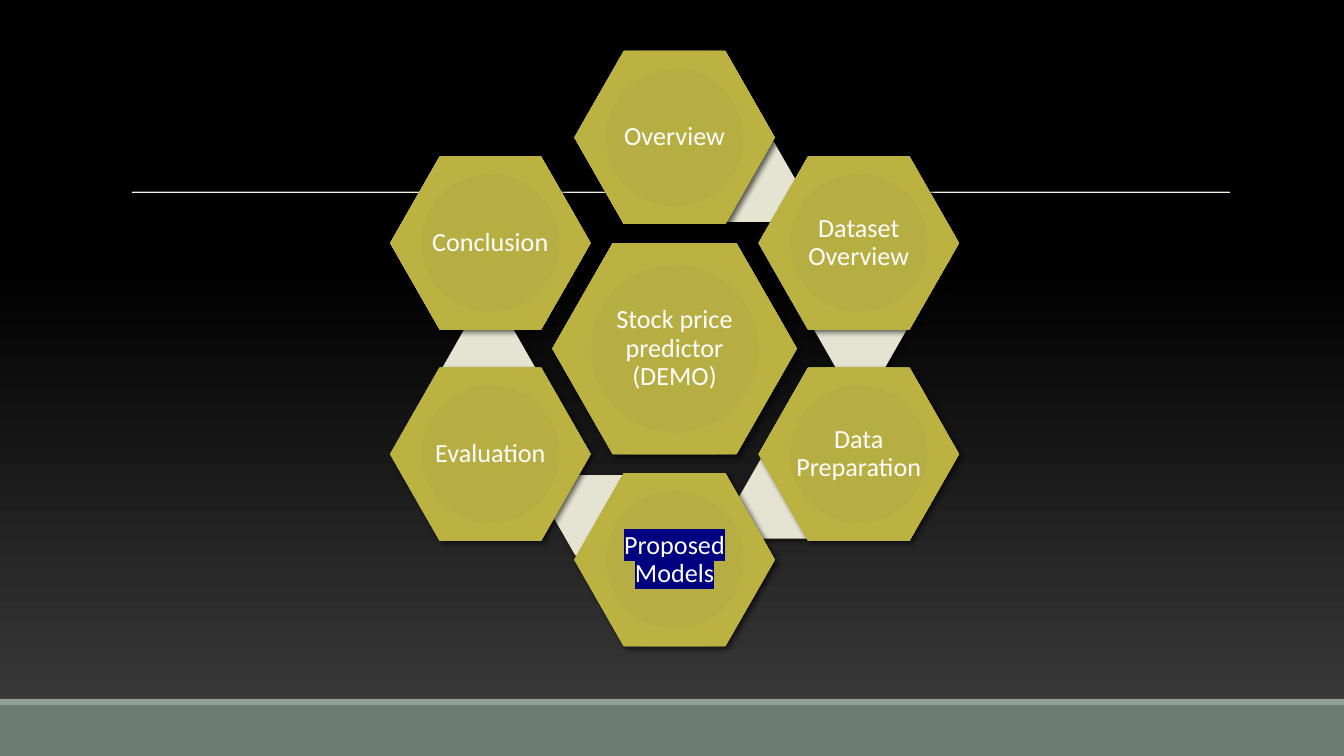
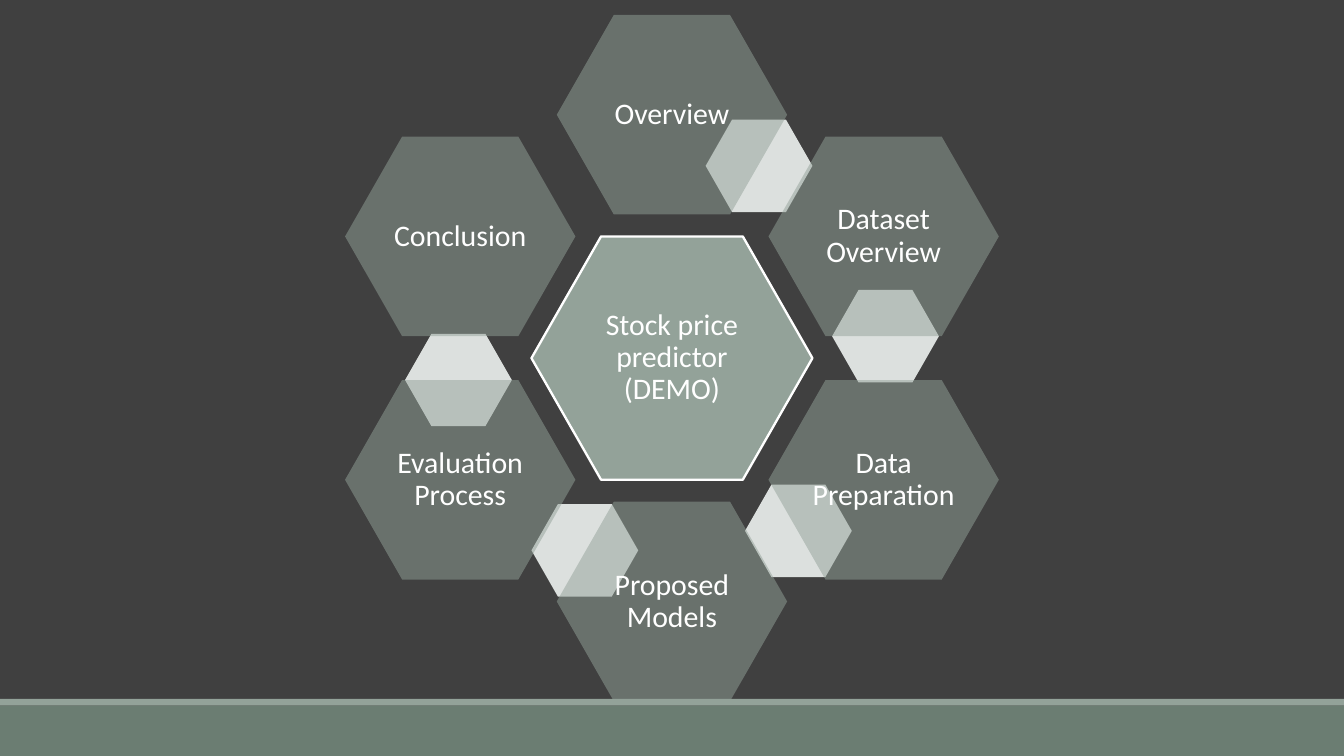
import math
from dataclasses import dataclass

from lxml import etree
from pptx import Presentation
from pptx import util as u
from pptx.dml.color import RGBColor
from pptx.enum import shapes, text
from pptx.oxml import ns

# Content: each ring starts at the top and runs clockwise
SLIDES = [
    {
        "style": "olive",
        "hub": "Stock price predictor (DEMO)",
        "steps": ["Overview", "Dataset Overview", "Data Preparation",
                  "Proposed Models", "Evaluation", "Conclusion"],
        "highlighted": "Proposed Models",
        "center": (12.75, 6.59),
        "hub_size": (4.62, 3.99),
        "title_rule": True,
    },
    {
        "style": "sage",
        "hub": "Stock price predictor (DEMO)",
        "steps": ["Overview", "Dataset Overview", "Data Preparation",
                  "Proposed Models", "Evaluation Process", "Conclusion"],
        "highlighted": None,
        "center": (12.7, 6.77),
        "hub_size": (5.31, 4.6),
        "title_rule": False,
    },
]


@dataclass(frozen=True)
class Theme:
    font: str = "Calibri"
    text: str = "FFFFFF"
    highlight: str = "000080"
    band: str = "93A299"
    footer: str = "6B7D72"
    rules: tuple = (("FFFFFF", 100), ("ECEDD1", 90))
    rule_width: float = 0.5
    shadow: str = "000000"


@dataclass(frozen=True)
class RingStyle:
    background: object  # a colour, or gradient stops
    hub: object
    step: object
    link: str
    size: int
    step_opacity: int = 100
    hub_line: str = ""
    shadow: bool = False


THEME = Theme()
OLIVE = ((0, "B6AE40"), (34, "B6AE43"), (70, "BBB241"), (100, "BAB24E"))
STYLES = {
    "olive": RingStyle(((0, "3F3F3F"), (65, "000000"), (100, "000000")),
                       OLIVE, OLIVE, "E5E3D1", 14, shadow=True),
    "sage": RingStyle("404040", "93A299", "93A299", "DCE0DE", 16,
                      step_opacity=50, hub_line="FFFFFF"),
}

# Layout, in centimetres
WIDTH, HEIGHT = 25.4, 14.29
BAND_TOP, FOOTER_TOP = 13.21, 13.34
RULE_LEFT, RULE_RIGHT, RULE_TOP = 2.49, 23.24, 3.63

# Ring proportions, as shares of the hub's width and height
RING_RADIUS = (0.87, 1)
STEP_SCALE, LINK_SCALE = 0.82, 0.38
LINK_OFFSETS = [(0.31, -0.79), (0.76, -0.09), (0.45, 0.71),
                (-0.31, 0.79), (-0.76, 0.09)]


# XML helpers
def add_element(parent, tag, **attributes):
    element = etree.SubElement(parent, ns.qn(tag))
    for name, value in attributes.items():
        element.set(name, str(value))
    return element


def add_color(parent, color, opacity=100):
    element = add_element(parent, "a:srgbClr", val=color)
    if opacity < 100:
        add_element(element, "a:alpha", val=opacity * 1000)


def set_opacity(container, opacity):
    if opacity < 100:
        color = container.find(".//" + ns.qn("a:srgbClr"))
        add_element(color, "a:alpha", val=opacity * 1000)


def set_gradient(container, stops, radial):
    """Replace the solid fill in the container with a gradient."""
    gradient = etree.Element(ns.qn("a:gradFill"), rotWithShape="1")
    stop_list = add_element(gradient, "a:gsLst")
    for position, color in stops:
        add_color(add_element(stop_list, "a:gs", pos=position * 1000), color)
    if radial:
        path = add_element(gradient, "a:path", path="circle")
        sides = dict.fromkeys("ltrb", 100000)
        add_element(path, "a:fillToRect", **sides)
    else:
        add_element(gradient, "a:lin", ang=270 * 60000, scaled=0)
    solid = container.find(ns.qn("a:solidFill"))
    container.replace(solid, gradient)


def paint(fill, container, paint_value, radial=True):
    """Fill with one colour, or with gradient stops."""
    is_plain = isinstance(paint_value, str)
    fill.solid()
    fill.fore_color.rgb = RGBColor.from_string(
        paint_value if is_plain else paint_value[0][1])
    if not is_plain:
        set_gradient(container, paint_value, radial)


def add_shadow(shape):
    effects = shape._element.spPr.find(ns.qn("a:effectLst"))
    shadow = add_element(effects, "a:outerShdw", blurRad=u.Pt(3), dist=u.Pt(2),
                         dir=45 * 60000, algn="ctr", rotWithShape=0)
    add_color(shadow, THEME.shadow, 60)


# Drawing
def add_block(slide, kind, left, top, width, height, fill,
              opacity=100, line="", shadow=False):
    shape = slide.shapes.add_shape(
        kind, u.Cm(left), u.Cm(top), u.Cm(width), u.Cm(height))
    shape.shadow.inherit = False
    paint(shape.fill, shape._element.spPr, fill)
    set_opacity(shape._element.spPr, opacity)
    if line:
        shape.line.color.rgb = RGBColor.from_string(line)
        shape.line.width = u.Pt(1.25)
    else:
        shape.line.fill.background()
    if shadow:
        add_shadow(shape)
    return shape


def write(shape, words, size, color=THEME.text, highlight=None):
    frame = shape.text_frame
    frame.word_wrap = True
    frame.vertical_anchor = text.MSO_ANCHOR.MIDDLE
    frame.margin_left = frame.margin_right = u.Cm(0.05)
    frame.margin_top = frame.margin_bottom = u.Cm(0.05)
    paragraph = frame.paragraphs[0]
    paragraph.alignment = text.PP_ALIGN.CENTER
    paragraph.line_spacing = 0.9
    run = paragraph.add_run()
    run.text = words
    run.font.size = u.Pt(size)
    run.font.name = THEME.font
    run.font.color.rgb = RGBColor.from_string(color)
    if highlight:
        mark = etree.Element(ns.qn("a:highlight"))
        add_color(mark, highlight)
        run.font._element.find(ns.qn("a:solidFill")).addnext(mark)


def add_title_rules(slide):
    for color, opacity in THEME.rules:
        rule = slide.shapes.add_connector(
            shapes.MSO_CONNECTOR.STRAIGHT, u.Cm(RULE_LEFT), u.Cm(RULE_TOP),
            u.Cm(RULE_RIGHT), u.Cm(RULE_TOP))
        rule.line.color.rgb = RGBColor.from_string(color)
        rule.line.width = u.Pt(THEME.rule_width)
        set_opacity(rule._element.spPr, opacity)
        add_element(rule._element.spPr, "a:effectLst")


def add_footer(slide):
    rectangle = shapes.MSO_SHAPE.RECTANGLE
    add_block(slide, rectangle, 0, BAND_TOP, WIDTH,
              FOOTER_TOP - BAND_TOP, THEME.band)
    add_block(slide, rectangle, 0, FOOTER_TOP, WIDTH,
              HEIGHT - FOOTER_TOP, THEME.footer)


def add_ring(slide, content, style):
    center_x, center_y = content["center"]
    hub_width, hub_height = content["hub_size"]

    def add_hexagon(offset, scale, fill, **look):
        width, height = hub_width * scale, hub_height * scale
        hexagon = add_block(
            slide, shapes.MSO_SHAPE.HEXAGON,
            center_x + offset[0] * hub_width - width / 2,
            center_y + offset[1] * hub_height - height / 2,
            width, height, fill, shadow=style.shadow, **look)
        hexagon.adjustments[0] = 0.286
        return hexagon

    hub = add_hexagon((0, 0), 1, style.hub, line=style.hub_line)
    write(hub, content["hub"], style.size)

    # Each link lies beneath the step it follows; the last step has none
    steps = content["steps"]
    for index, label in enumerate(steps):
        if index < len(LINK_OFFSETS):
            add_hexagon(LINK_OFFSETS[index], LINK_SCALE, style.link)
        angle = 2 * math.pi * index / len(steps)
        offset = (RING_RADIUS[0] * math.sin(angle),
                  -RING_RADIUS[1] * math.cos(angle))
        step = add_hexagon(offset, STEP_SCALE, style.step,
                           opacity=style.step_opacity)
        marked = label == content["highlighted"]
        write(step, label, style.size,
              highlight=THEME.highlight if marked else None)


def main():
    presentation = Presentation()
    presentation.slide_width = u.Cm(WIDTH)
    presentation.slide_height = u.Cm(HEIGHT)
    for content in SLIDES:
        style = STYLES[content["style"]]
        slide = presentation.slides.add_slide(presentation.slide_layouts[6])
        fill = slide.background.fill
        fill.solid()
        background = slide._element.cSld.find(".//" + ns.qn("p:bgPr"))
        paint(fill, background, style.background, radial=False)
        if content["title_rule"]:
            add_title_rules(slide)
        add_footer(slide)
        add_ring(slide, content, style)
    presentation.save("out.pptx")


if __name__ == "__main__":
    main()
